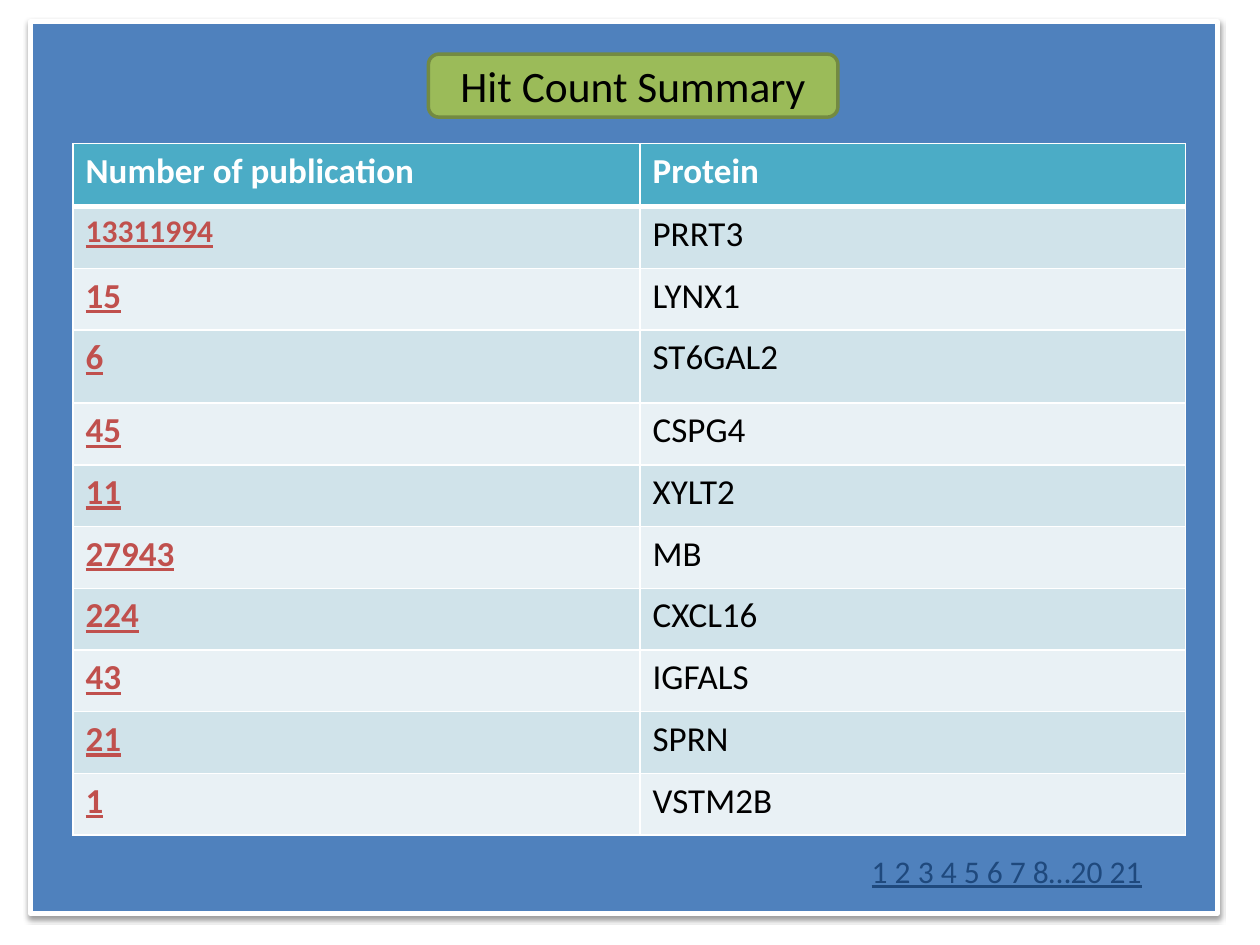
from dataclasses import dataclass

from lxml import etree
from pptx import Presentation
from pptx.dml.color import RGBColor
from pptx.enum.shapes import MSO_SHAPE
from pptx.enum.text import MSO_ANCHOR, MSO_AUTO_SIZE, PP_ALIGN
from pptx.oxml.ns import qn
from pptx.util import Inches, Pt

RECTANGLE = MSO_SHAPE.RECTANGLE
ROUNDED = MSO_SHAPE.ROUNDED_RECTANGLE
MIDDLE = MSO_ANCHOR.MIDDLE
FIT_SHAPE = MSO_AUTO_SIZE.SHAPE_TO_FIT_TEXT
LEFT, CENTER = PP_ALIGN.LEFT, PP_ALIGN.CENTER


@dataclass(frozen=True)
class Theme:
    font: str = "Calibri"
    white: str = "FFFFFF"
    black: str = "000000"
    panel: str = "4F81BD"
    title_fill: str = "9BBB59"
    title_line: str = "738A42"
    header: str = "4BACC6"
    bands: tuple = ("D0E3EA", "E9F1F5")
    count: str = "C0504D"
    pages: str = "1F497D"
    title_size: float = 24.8
    table_size: float = 20
    small_size: float = 18


THEME = Theme()

HEADINGS = ("Number of publication", "Protein")
HITS = (
    ("13311994", "PRRT3"),
    ("15", "LYNX1"),
    ("6", "ST6GAL2"),
    ("45", "CSPG4"),
    ("11", "XYLT2"),
    ("27943", "MB"),
    ("224", "CXCL16"),
    ("43", "IGFALS"),
    ("21", "SPRN"),
    ("1", "VSTM2B"),
)
COLUMN_WIDTHS = (4.5, 4.33)
ROW_HEIGHT = 0.49
SPECIAL_HEIGHTS = {0: 0.5, 3: 0.58}


def color(value):
    return RGBColor.from_string(value)


def write(frame, text, size=THEME.table_size, ink=THEME.black, bold=False,
          underline=False, align=LEFT):
    para = frame.paragraphs[0]
    para.alignment = align
    span = para.add_run()
    span.text = text
    font = span.font
    font.name, font.size = THEME.font, Pt(size)
    font.bold, font.underline = bold, underline
    font.color.rgb = color(ink)


def add_box(slide, kind, left, top, width, height, fill, line, weight):
    box = slide.shapes.add_shape(kind, Inches(left), Inches(top),
                                 Inches(width), Inches(height))
    box.shadow.inherit = False
    box.fill.solid()
    box.fill.fore_color.rgb = color(fill)
    box.line.color.rgb = color(line)
    box.line.width = Pt(weight)
    return box


def add_shadow(box, blur, distance, opacity):
    """Cast a soft shadow straight down from the box."""
    effects = box._element.spPr.find(qn("a:effectLst"))
    shadow = etree.SubElement(
        effects, qn("a:outerShdw"), blurRad=str(Pt(blur)),
        dist=str(Pt(distance)), dir=str(90 * 60000), rotWithShape="0")
    shade = etree.SubElement(shadow, qn("a:srgbClr"), val=THEME.black)
    etree.SubElement(shade, qn("a:alpha"), val=str(opacity * 1000))


def add_title(slide, text):
    box = add_box(slide, ROUNDED, 3.4, 0.43, 3.25, 0.5,
                  THEME.title_fill, THEME.title_line, 2)
    frame = box.text_frame
    frame.vertical_anchor = MIDDLE
    write(frame, text, size=THEME.title_size, align=CENTER)


def add_page_list(slide, text):
    box = slide.shapes.add_textbox(Inches(6.82), Inches(6.71),
                                   Inches(2.37), Inches(0.4))
    frame = box.text_frame
    frame.word_wrap = False
    frame.auto_size = FIT_SHAPE
    write(frame, text, size=THEME.small_size, ink=THEME.pages, underline=True)


def set_borders(cell, **weights):
    """Draw white cell borders; this must come before the cell's fill."""
    properties = cell._tc.get_or_add_tcPr()
    for side in "LRTB":
        line = etree.SubElement(properties, qn(f"a:ln{side}"),
                                w=str(Pt(weights.get(side, 1))))
        fill = etree.SubElement(line, qn("a:solidFill"))
        etree.SubElement(fill, qn("a:srgbClr"), val=THEME.white)


def fill_cell(cell, text, fill, borders, **text_format):
    set_borders(cell, **borders)
    cell.fill.solid()
    cell.fill.fore_color.rgb = color(fill)
    write(cell.text_frame, text, **text_format)


def add_hit_table(slide):
    heights = [SPECIAL_HEIGHTS.get(row, ROW_HEIGHT)
               for row in range(len(HITS) + 1)]
    table = slide.shapes.add_table(
        len(heights), len(COLUMN_WIDTHS), Inches(0.58), Inches(1.14),
        Inches(sum(COLUMN_WIDTHS)), Inches(sum(heights))).table
    for column, width in zip(table.columns, COLUMN_WIDTHS):
        column.width = Inches(width)
    for row, height in zip(table.rows, heights):
        row.height = Inches(height)

    for column, heading in enumerate(HEADINGS):
        fill_cell(table.cell(0, column), heading, THEME.header, {"B": 3},
                  ink=THEME.white, bold=True)
    for row, (count, protein) in enumerate(HITS, start=1):
        band = THEME.bands[(row - 1) % 2]
        borders = {"T": 3} if row == 1 else {}
        size = THEME.small_size if row == 1 else THEME.table_size
        fill_cell(table.cell(row, 0), count, band, borders, size=size,
                  ink=THEME.count, bold=True, underline=True)
        fill_cell(table.cell(row, 1), protein, band, borders)


def main():
    deck = Presentation()
    deck.slide_width, deck.slide_height = Inches(10), Inches(7.5)
    slide = deck.slides.add_slide(deck.slide_layouts[6])
    panel = add_box(slide, RECTANGLE, 0.24, 0.17, 9.42, 7.08,
                    THEME.panel, THEME.white, 3)
    add_shadow(panel, blur=3.1, distance=1.6, opacity=38)
    add_title(slide, "Hit Count Summary")
    add_page_list(slide, "1 2 3 4 5 6 7 8…20 21")
    add_hit_table(slide)
    deck.save("out.pptx")


if __name__ == "__main__":
    main()
